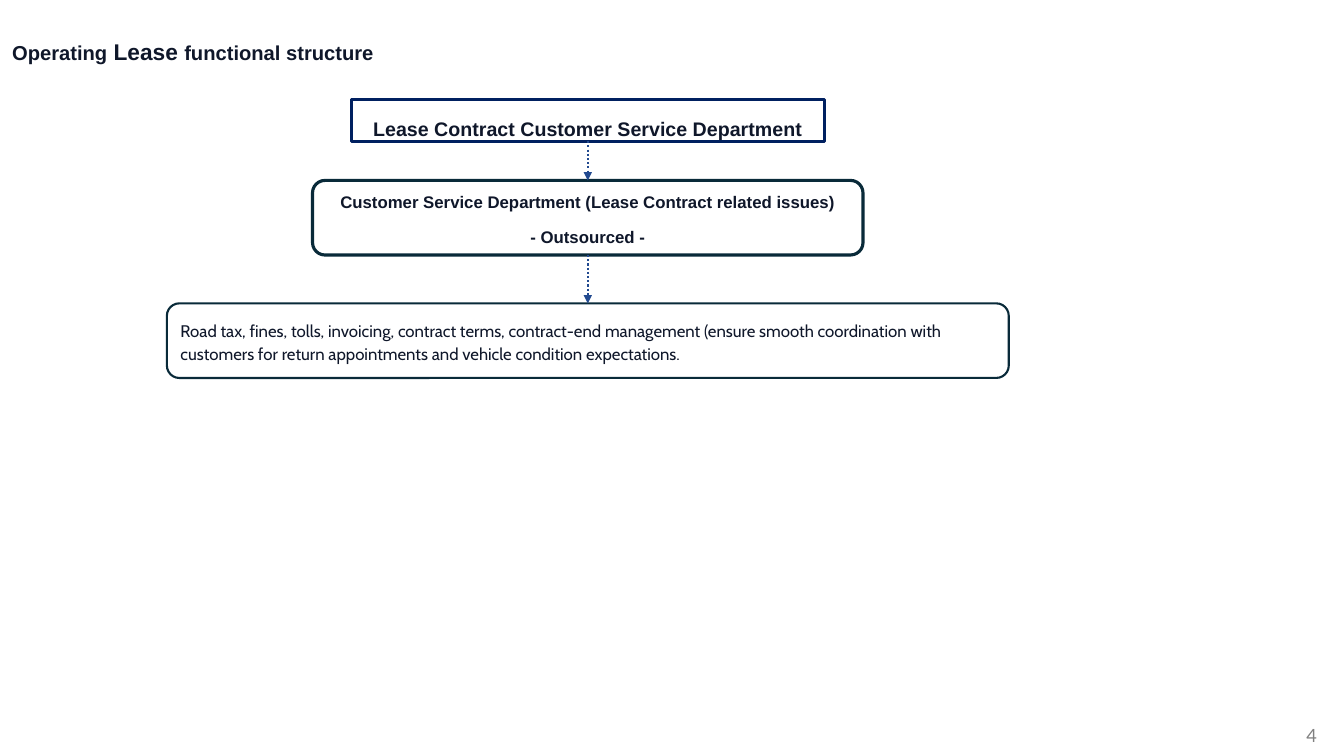
from lxml import etree
from pptx import Presentation
from pptx.dml.color import RGBColor
from pptx.enum.dml import MSO_LINE
from pptx.enum.shapes import MSO_CONNECTOR, MSO_SHAPE
from pptx.enum.text import MSO_ANCHOR, MSO_AUTO_SIZE, PP_ALIGN
from pptx.oxml.ns import qn
from pptx.util import Inches, Pt

INK = RGBColor(0x0F, 0x17, 0x2A)
NAVY = RGBColor(0x00, 0x20, 0x60)
TEAL = RGBColor(0x09, 0x2A, 0x39)
BLUE = RGBColor(0x22, 0x4A, 0x90)
GREY = RGBColor(0x80, 0x80, 0x80)
WHITE = RGBColor(0xFF, 0xFF, 0xFF)
RECT, ROUND = MSO_SHAPE.RECTANGLE, MSO_SHAPE.ROUNDED_RECTANGLE
LEFT, MID, RIGHT = PP_ALIGN.LEFT, PP_ALIGN.CENTER, PP_ALIGN.RIGHT
TOP, CENTER = MSO_ANCHOR.TOP, MSO_ANCHOR.MIDDLE
BOTTOM_SIDE, TOP_SIDE = 2, 0
AXIS = 5.83


def write(shape, paras, font="Arial", color=INK, bold=False, align=LEFT,
          anchor=TOP, lead=1.0, after=0):
    """Fill a shape with paragraphs, each a list of (text, size) runs."""
    frame = shape.text_frame
    frame.word_wrap = True
    frame.auto_size = MSO_AUTO_SIZE.NONE
    frame.vertical_anchor = anchor
    for i, runs in enumerate(paras):
        para = frame.add_paragraph() if i else frame.paragraphs[0]
        para.alignment = align
        para.line_spacing = lead
        para.space_before, para.space_after = Pt(0), Pt(after)
        for text, size in runs:
            run = para.add_run()
            run.text = text
            run.font.name, run.font.size = font, Pt(size)
            run.font.bold = bold
            run.font.color.rgb = color


def add_box(slide, top, width, height, kind, edge, weight, paras, **style):
    """Add a framed box centred on the chart axis."""
    box = slide.shapes.add_shape(kind, Inches(AXIS - width / 2), Inches(top),
                                 Inches(width), Inches(height))
    box.shadow.inherit = False
    box.fill.solid()
    box.fill.fore_color.rgb = WHITE
    box.line.color.rgb = edge
    box.line.width = Pt(weight)
    write(box, paras, **style)
    return box


def add_arrow(slide, upper, lower):
    arrow = slide.shapes.add_connector(MSO_CONNECTOR.STRAIGHT, 0, 0, 0, 0)
    arrow.begin_connect(upper, BOTTOM_SIDE)
    arrow.end_connect(lower, TOP_SIDE)
    arrow.line.color.rgb = BLUE
    arrow.line.width = Pt(1.5)
    arrow.line.dash_style = MSO_LINE.ROUND_DOT
    etree.SubElement(arrow.line._get_or_add_ln(), qn("a:tailEnd"), type="triangle")
    etree.SubElement(arrow._element.spPr, qn("a:effectLst"))


def add_title(slide, left, top, width, height):
    title = slide.shapes.title
    title.left, title.top = Inches(left), Inches(top)
    title.width, title.height = Inches(width), Inches(height)
    write(title, [[("Operating", 14.4), (" Lease ", 16.2),
                   ("functional structure", 14.4)]],
          bold=True, anchor=CENTER, lead=0.9)


def add_number(slide, left, top, width, height):
    number = slide.shapes.add_textbox(Inches(left), Inches(top),
                                      Inches(width), Inches(height))
    write(number, [[("4", 13)]], font="Lato", color=GREY, align=RIGHT)


def add_flow(slide, top):
    """Stack the three boxes downwards from top and link them."""
    head = add_box(slide, top, 4.69, 0.41, RECT, NAVY, 2.25,
                   [[("Lease Contract Customer Service Department", 14)]],
                   bold=True, align=MID, lead=1.5)
    team = add_box(slide, top + 0.8, 5.46, 0.74, ROUND, TEAL, 2.25,
                   [[("Customer Service Department (Lease Contract related issues)", 12)],
                    [("- Outsourced -", 12)]],
                   bold=True, align=MID, anchor=CENTER, lead=1.15, after=8)
    tasks = add_box(slide, top + 2.02, 8.35, 0.74, ROUND, TEAL, 1.5,
                    [[("Road tax, fines, tolls, invoicing, contract terms, "
                       "contract-end management (ensure smooth coordination with "
                       "customers for return appointments and vehicle condition "
                       "expectations.", 12)]],
                    font="Cabin", anchor=CENTER, lead=1.15, after=8)
    add_arrow(slide, head, team)
    add_arrow(slide, team, tasks)


def main():
    deck = Presentation()
    deck.slide_width, deck.slide_height = Inches(13.33), Inches(7.5)
    slide = deck.slides.add_slide(deck.slide_layouts[5])
    add_title(slide, 0.02, 0.36, 11.06, 0.34)
    add_flow(slide, 0.99)
    add_number(slide, 12.36, 7.14, 0.8, 0.32)
    deck.save("out.pptx")


if __name__ == "__main__":
    main()
